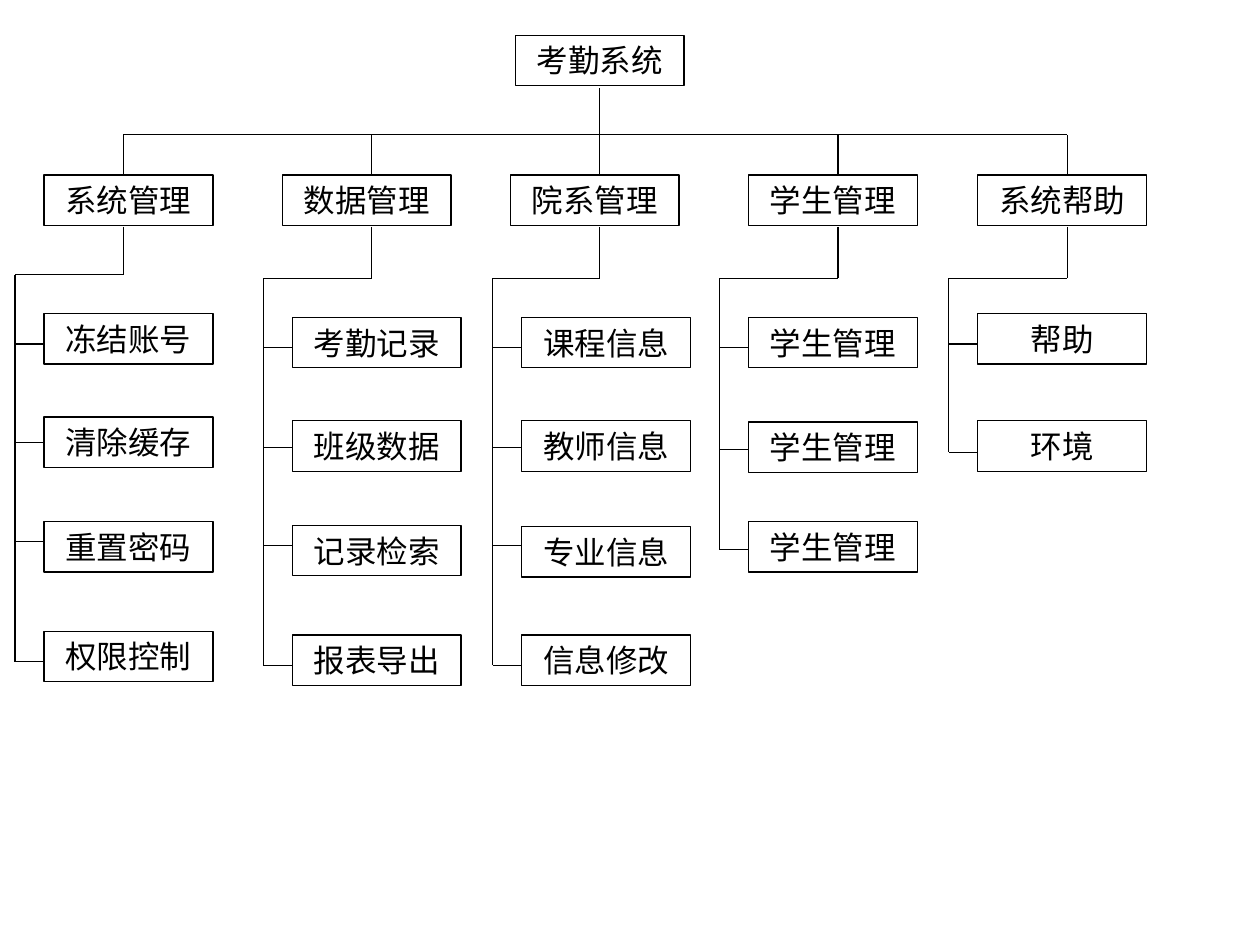
from pptx import Presentation
from pptx.dml.color import RGBColor
from pptx.enum.shapes import MSO_CONNECTOR, MSO_SHAPE
from pptx.enum.text import MSO_ANCHOR, MSO_AUTO_SIZE, PP_ALIGN
from pptx.util import Inches, Pt
from lxml.etree import SubElement
from pptx.oxml.ns import qn

INK = "000000"
WIDE, HIGH = 1.34, 0.4
BUS, HEAD_TOP = 1.07, 1.39
STEM_TOP = 1.8
TICK = 0.23
FONT = {"name": "Arial", "size": Pt(18)}
FRAME = {
    "word_wrap": True,
    "auto_size": MSO_AUTO_SIZE.SHAPE_TO_FIT_TEXT,
    "vertical_anchor": MSO_ANCHOR.TOP,
}

# Branch: name, head left, stem x, leaf left, elbow y, leaves (name, top, tick y)
BRANCHES = [
    ("系统管理", 0.35, 0.98, 0.35, 2.18, [
        ("冻结账号", 2.49, 2.73), ("清除缓存", 3.31, 3.51),
        ("重置密码", 4.14, 4.3), ("权限控制", 5.01, 5.25)]),
    ("数据管理", 2.24, 2.95, 2.32, 2.21, [
        ("考勤记录", 2.52, 2.76), ("班级数据", 3.34, 3.55),
        ("记录检索", 4.17, 4.33), ("报表导出", 5.04, 5.28)]),
    ("院系管理", 4.05, 4.76, 4.14, 2.21, [
        ("课程信息", 2.52, 2.76), ("教师信息", 3.34, 3.55),
        ("专业信息", 4.18, 4.33), ("信息修改", 5.04, 5.28)]),
    ("学生管理", 5.94, 6.65, 5.94, 2.21, [
        ("学生管理", 2.52, 2.76), ("学生管理", 3.35, 3.57),
        ("学生管理", 4.14, 4.36)]),
    ("系统帮助", 7.76, 8.47, 7.76, 2.21, [
        ("帮助", 2.49, 2.73), ("环境", 3.34, 3.59)]),
]


def color(code):
    return RGBColor.from_string(code)


def style(line):
    line.color.rgb = color(INK)
    line.width = Pt(0.75)


def add_box(slide, text, left, top):
    box = slide.shapes.add_shape(
        MSO_SHAPE.RECTANGLE, *map(Inches, (left, top, WIDE, HIGH)))
    box.shadow.inherit = False
    box.fill.background()
    style(box.line)
    frame = box.text_frame
    for key, value in FRAME.items():
        setattr(frame, key, value)
    para = frame.paragraphs[0]
    para.alignment = PP_ALIGN.CENTER
    run = para.add_run()
    run.text = text
    for key, value in FONT.items():
        setattr(run.font, key, value)
    run.font.color.rgb = color(INK)


def add_line(slide, *ends):
    """Draw a straight line through x1, y1, x2, y2 in inches."""
    line = slide.shapes.add_connector(
        MSO_CONNECTOR.STRAIGHT, *map(Inches, ends))
    style(line.line)
    SubElement(line._element.spPr, qn("a:effectLst"))


def add_branch(slide, name, left, stem, leaf, elbow, leaves):
    rail = leaf - TICK
    add_line(slide, stem, BUS, stem, HEAD_TOP)
    add_box(slide, name, left, HEAD_TOP)
    add_line(slide, stem, STEM_TOP, stem, elbow)
    add_line(slide, rail, elbow, stem, elbow)
    add_line(slide, rail, elbow, rail, leaves[-1][2])
    for text, top, tick in leaves:
        add_box(slide, text, leaf, top)
        add_line(slide, rail, tick, leaf, tick)


def main():
    deck = Presentation()
    deck.slide_width, deck.slide_height = Inches(10), Inches(7.5)
    slide = deck.slides.add_slide(deck.slide_layouts[6])
    add_box(slide, "考勤系统", 4.09, 0.28)
    add_line(slide, 4.76, 0.7, 4.76, BUS)
    add_line(slide, BRANCHES[0][2], BUS, BRANCHES[-1][2], BUS)
    for branch in BRANCHES:
        add_branch(slide, *branch)
    deck.save("out.pptx")


if __name__ == "__main__":
    main()
